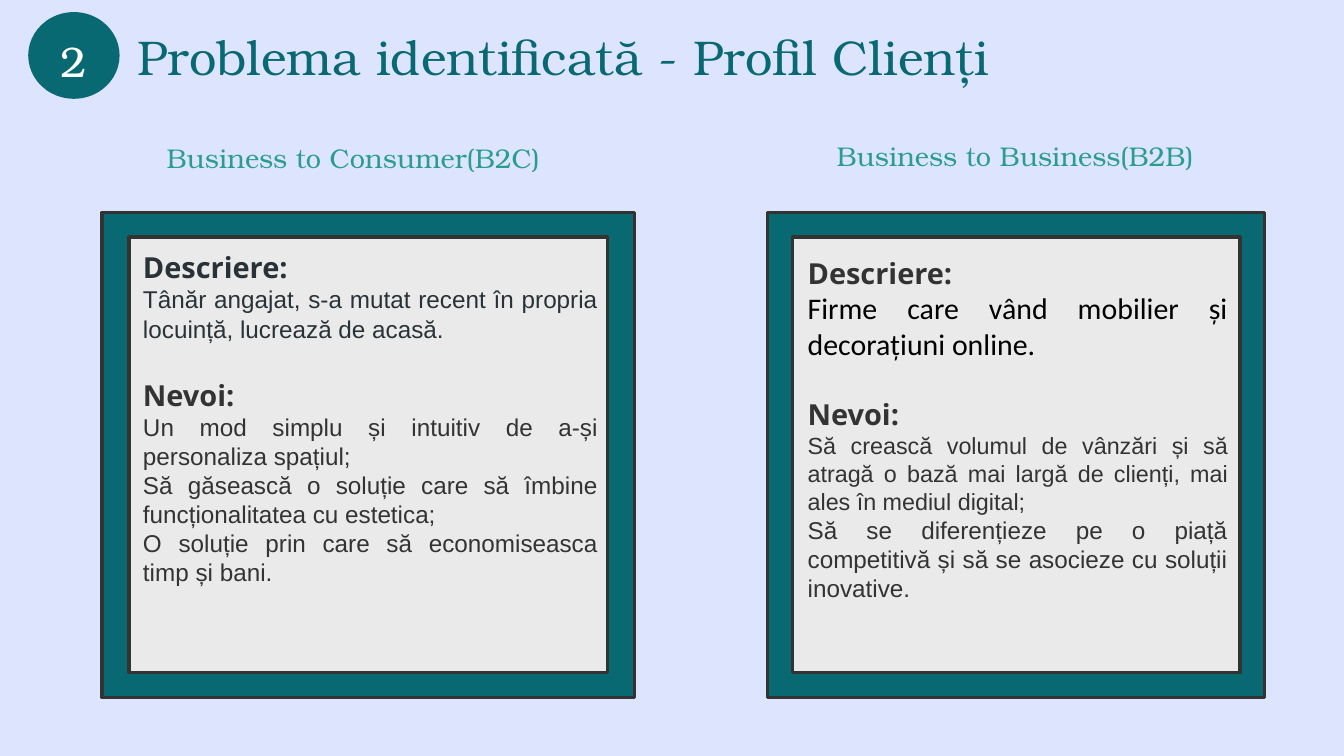
from pptx import Presentation
from pptx.dml.color import RGBColor
from pptx.enum import shapes, text
from pptx.util import Inches, Pt

TEAL = RGBColor(0x08, 0x69, 0x72)
GREEN = RGBColor(0x2A, 0x9D, 0x8F)
DARK = RGBColor(0x33, 0x33, 0x33)
SLATE = RGBColor(0x29, 0x32, 0x37)
GREY = RGBColor(0xEB, 0xEA, 0xEA)
SKY = RGBColor(0xDD, 0xE4, 0xFD)
WHITE = RGBColor(0xFF, 0xFF, 0xFF)
BLACK = RGBColor(0, 0, 0)

SERIF = "TeX Gyre Bonum"
TOP, HIGH, RIM = 3.16, 7.22, 0.37
GAP = 37  # points above the second heading of a card


def style(para, words, name, size, color, bold=False, **form):
    run = para.add_run()
    run.text = words
    run.font.color.rgb = color
    for key, val in {"name": name, "size": Pt(size), "bold": bold}.items():
        setattr(run.font, key, val)
    for key, val in form.items():
        setattr(para, key, val)


def inset(frame):
    frame.word_wrap = True
    for side in ("left", "top", "right", "bottom"):
        setattr(frame, f"margin_{side}", Inches(0.1))


def add_text(slide, spot, lines):
    """Add a text box; each line is a (values, paragraph format) pair."""
    frame = slide.shapes.add_textbox(*map(Inches, spot)).text_frame
    inset(frame)
    for i, (vals, form) in enumerate(lines):
        para = frame.add_paragraph() if i else frame.paragraphs[0]
        style(para, *vals, **form)


def add_block(slide, kind, spot, fill, edge=None):
    block = slide.shapes.add_shape(kind, *map(Inches, spot))
    block.shadow.inherit = False
    block.fill.solid()
    block.fill.fore_color.rgb = fill
    if edge is None:
        block.line.fill.background()
    else:
        block.line.color.rgb = edge
        block.line.width = Pt(3.75)
    return block


def add_badge(slide, label):
    badge = add_block(slide, shapes.MSO_SHAPE.OVAL, (0.42, 0.18, 1.36, 1.29), TEAL)
    frame = badge.text_frame
    inset(frame)
    frame.vertical_anchor = text.MSO_ANCHOR.MIDDLE
    style(frame.paragraphs[0], label, SERIF, 45.6, WHITE,
          alignment=text.PP_ALIGN.CENTER, line_spacing=1.2)


def add_panel(slide, left, wide, rim):
    """Draw a teal frame with a grey sheet inside it."""
    box = shapes.MSO_SHAPE.RECTANGLE
    add_block(slide, box, (left, TOP, wide, HIGH), TEAL, DARK)
    add_block(slide, box, (left + rim, TOP + RIM, wide - 2 * rim, HIGH - 2 * RIM),
              GREY, DARK)


def add_card(slide, spot, about, needs, tint):
    """Write a client profile; about and needs hold (words, font, size, colour)."""
    just = {"alignment": text.PP_ALIGN.JUSTIFY}
    lines = [(("Descriere:", "Noto Sans", 31, tint, True), just), (about, just),
             (("Nevoi:", "Noto Sans", 31, DARK, True),
              {**just, "space_before": Pt(GAP)})]
    lines += [(need, just) for need in needs]
    add_text(slide, spot, lines)


def main():
    deck = Presentation()
    deck.slide_width, deck.slide_height = Inches(20), Inches(11.25)
    slide = deck.slides.add_slide(deck.slide_layouts[6])
    slide.background.fill.solid()
    slide.background.fill.fore_color.rgb = SKY

    add_badge(slide, "2")
    title = ("Problema identificată - Profil Clienți", SERIF, 52.2, TEAL)
    add_text(slide, (1.95, 0.12, 16.87, 1.08), [(title, {"line_spacing": 1.2})])

    add_panel(slide, 1.52, 7.92, 0.4)
    add_panel(slide, 11.42, 7.4, RIM)

    for words, spot in (("Business to Consumer(B2C)", (2.38, 2.01, 6.8, 0.88)),
                        ("Business to Business(B2B)", (12.35, 1.98, 6.26, 0.93))):
        add_text(slide, spot, [((words, SERIF, 29, GREEN), {})])

    add_card(
        slide, (2.03, 3.62, 6.97, 6.14),
        ("Tânăr angajat, s-a mutat recent în propria locuință, lucrează de acasă.",
         "Arial", 26, SLATE),
        [(need, "Arial", 26, DARK) for need in (
            "Un mod simplu și intuitiv de a-și personaliza spațiul;",
            "Să găsească o soluție care să îmbine funcționalitatea cu estetica;",
            "O soluție prin care să economiseasca timp și bani.")],
        SLATE)
    add_card(
        slide, (11.92, 3.7, 6.45, 6.28),
        ("Firme care vând mobilier și decorațiuni online.", "Calibri", 32, BLACK),
        [("Să crească volumul de vânzări și să atragă o bază mai largă de clienți, "
          "mai ales în mediul digital;", "Arial", 25, DARK),
         ("Să se diferențieze pe o piață competitivă și să se asocieze cu soluții "
          "inovative.", "Arial", 26, DARK)],
        DARK)

    deck.save("out.pptx")


if __name__ == "__main__":
    main()
